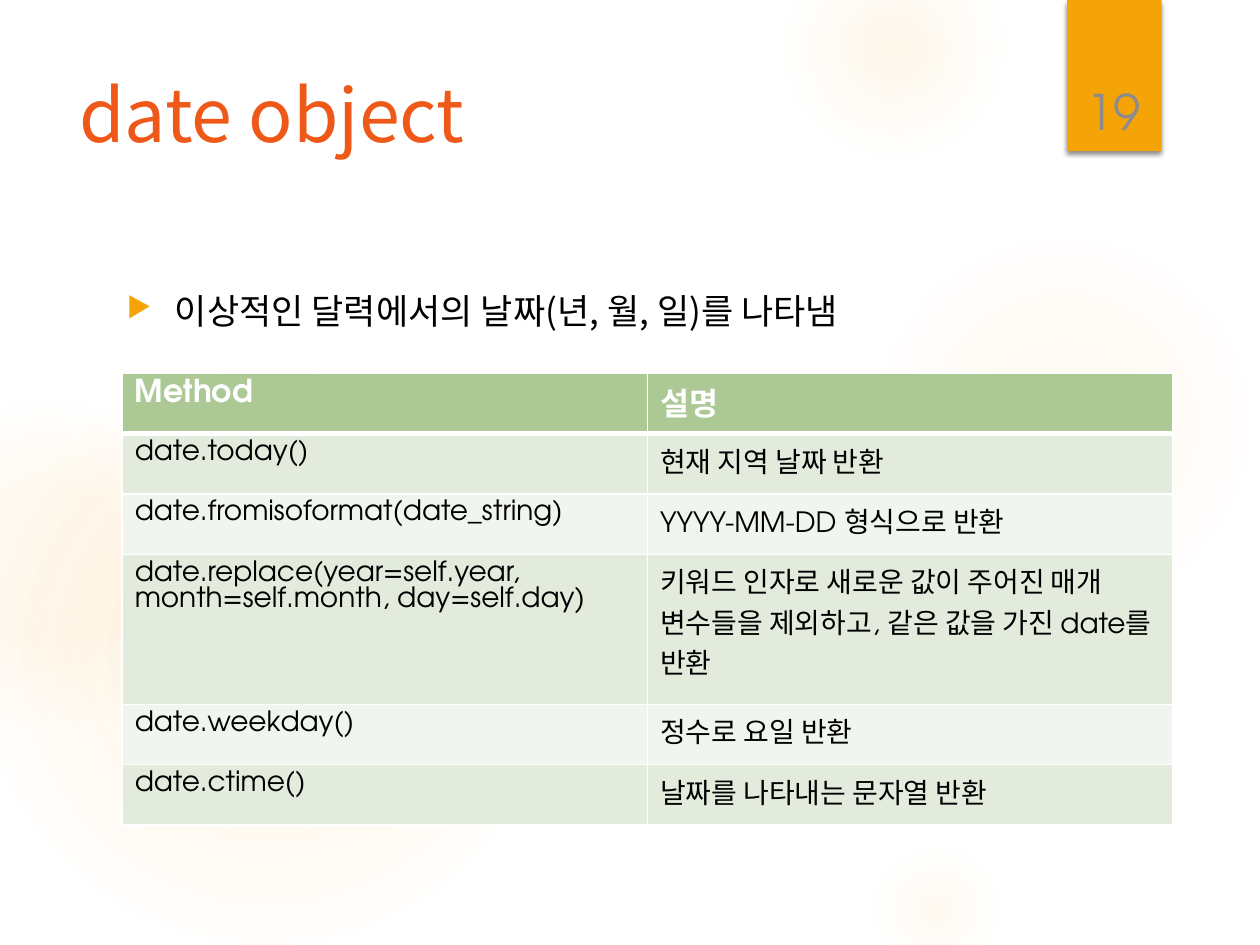
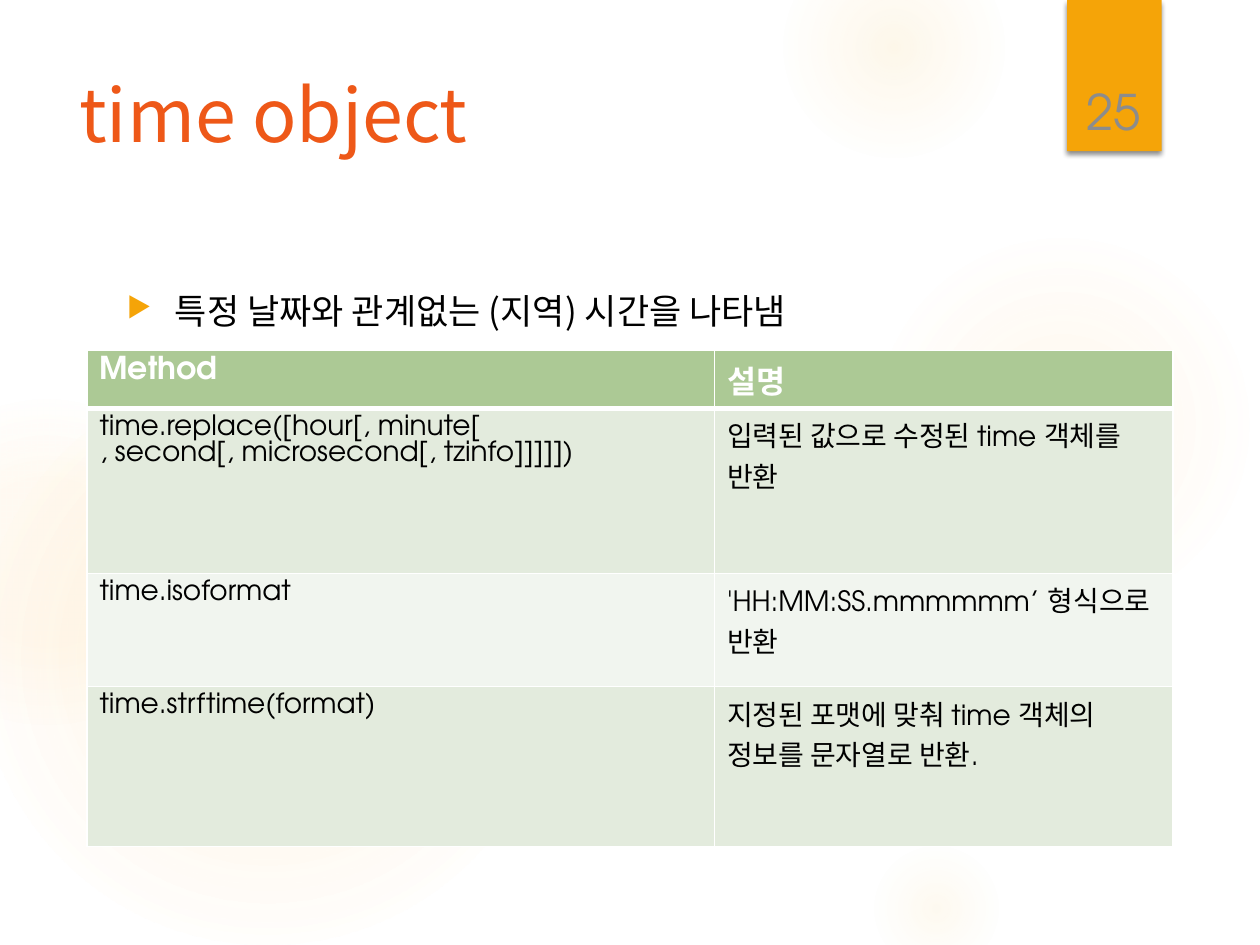
from pptx import Presentation
from pptx.dml.color import RGBColor
from pptx.enum.shapes import MSO_SHAPE
from pptx.enum.text import MSO_ANCHOR, PP_ALIGN
from pptx.oxml import parse_xml
from pptx.oxml.ns import nsdecls
from pptx.util import Inches, Pt

OVAL, RECT = MSO_SHAPE.OVAL, MSO_SHAPE.RECTANGLE
TOP, BOTTOM = MSO_ANCHOR.TOP, MSO_ANCHOR.BOTTOM
LEFT, CENTER = PP_ALIGN.LEFT, PP_ALIGN.CENTER
SANS, GEO = "Noto Sans CJK KR", "TeX Gyre Adventor"
GLOW = RGBColor(0xFA, 0xC9, 0x6A)
GOLD = RGBColor(0xF5, 0xA4, 0x08)
RUST = RGBColor(0xEE, 0x58, 0x18)
GRAY = RGBColor(0x8C, 0x8C, 0x8C)
BLACK = RGBColor(0x00, 0x00, 0x00)
WHITE = RGBColor(0xFF, 0xFF, 0xFF)
HEAD = RGBColor(0xAC, 0xC9, 0x95)
BANDS = [RGBColor(0xF1, 0xF5, 0xEF), RGBColor(0xE3, 0xEB, 0xDD)]
NS = nsdecls("a")

GLOWS = [
    (6.89, 1.83, 3.08, [(0, 7), (36, 6), (69, 0)]),
    (6.22, -0.5, 1.75, [(0, 14), (36, 7), (73, 0)]),
    (6.89, 6.67, 1.08, [(0, 10), (31, 5), (66, 0)]),
    (-0.17, 2.92, 4.58, [(0, 11), (36, 10), (75, 0)]),
    (-0.92, 3.17, 2.58, [(0, 8), (36, 8), (72, 0)]),
]

PAGES = [
    ("date object", "19", "이상적인 달력에서의 날짜(년, 월, 일)를 나타냄",
     (0.97, 2.96), [4.17, 4.17], [0.48, 0.48, 0.48, 1.19, 0.48, 0.48],
     [("Method", "설명"),
      ("date.today()", "현재 지역 날짜 반환"),
      ("date.fromisoformat(date_string)", "YYYY-MM-DD 형식으로 반환"),
      ("date.replace(year=self.year, month=self.month, day=self.day)",
       "키워드 인자로 새로운 값이 주어진 매개 변수들을 제외하고, 같은 값을 가진 date를 반환"),
      ("date.weekday()", "정수로 요일 반환"),
      ("date.ctime()", "날짜를 나타내는 문자열 반환")]),
    ("time object", "25", "특정 날짜와 관계없는 (지역) 시간을 나타냄",
     (0.69, 2.78), [4.98, 3.64], [0.46, 1.31, 0.9, 1.27],
     [("Method", "설명"),
      ("time.replace([hour[, minute[\n, second[, microsecond[, tzinfo]]]]])",
       "입력된 값으로 수정된 time 객체를 반환"),
      ("time.isoformat", "'HH:MM:SS.mmmmmm’ 형식으로 반환"),
      ("time.strftime(format)",
       "지정된 포맷에 맞춰 time 객체의 정보를 문자열로 반환.")]),
]


def style(frame, size, face, color, bold=False):
    for para in frame.paragraphs:
        for run in para.runs:
            font = run.font
            font.size, font.name, font.bold = Pt(size), face, bold
            font.color.rgb = color
            run._r.get_or_add_rPr().append(
                parse_xml(f'<a:ea {NS} typeface="{SANS}"/>'))


def label(slide, box, text, size, face, color, anchor=TOP, align=LEFT):
    frame = slide.shapes.add_textbox(*map(Inches, box)).text_frame
    frame.word_wrap = True
    frame.vertical_anchor = anchor
    frame.text = text
    frame.paragraphs[0].alignment = align
    style(frame, size, face, color)
    return frame.paragraphs[0]


deck = Presentation()
deck.slide_width, deck.slide_height = Inches(10), Inches(7.5)

for title, number, lead, spot, widths, heights, rows in PAGES:
    slide = deck.slides.add_slide(deck.slide_layouts[6])

    for x, y, size, stops in GLOWS:
        glow = slide.shapes.add_shape(
            OVAL, Inches(x), Inches(y), Inches(size), Inches(size))
        glow.shadow.inherit = False
        glow.line.fill.background()
        marks = "".join(
            f'<a:gs pos="{pos * 1000}"><a:srgbClr val="{GLOW}">'
            f'<a:alpha val="{alpha * 1000}"/></a:srgbClr></a:gs>'
            for pos, alpha in stops)
        glow._element.spPr.insert(2, parse_xml(
            f'<a:gradFill {NS}><a:gsLst>{marks}</a:gsLst><a:path path="circle">'
            '<a:fillToRect l="50000" t="50000" r="50000" b="50000"/>'
            '</a:path></a:gradFill>'))

    tab = slide.shapes.add_shape(
        RECT, Inches(8.47), Inches(0), Inches(0.75), Inches(1.2))
    tab.fill.solid()
    tab.fill.fore_color.rgb = GOLD
    tab.line.fill.background()
    tab.shadow.inherit = False
    tab._element.spPr[-1].append(parse_xml(
        f'<a:outerShdw {NS} blurRad="{Pt(3)}" dist="{Pt(2)}" dir="5400000" '
        f'rotWithShape="0"><a:srgbClr val="{BLACK}"><a:alpha val="45000"/>'
        '</a:srgbClr></a:outerShdw>'))

    label(slide, (0.53, 0.5, 7.72, 1.53), title, 42, SANS, RUST)
    para = label(slide, (0.91, 2.25, 7.34, 4.59), lead, 20, SANS, BLACK)
    props = para._p.get_or_add_pPr()
    props.set("marL", str(Inches(0.38)))
    props.set("indent", str(-Inches(0.38)))
    for tag in (f'<a:buClr {NS}><a:srgbClr val="{GOLD}"/></a:buClr>',
                f'<a:buSzPct {NS} val="80000"/>',
                f'<a:buChar {NS} char="▶"/>'):
        props.append(parse_xml(tag))

    table = slide.shapes.add_table(
        len(rows), 2, Inches(spot[0]), Inches(spot[1]),
        Inches(sum(widths)), Inches(sum(heights))).table
    for col, width in zip(table.columns, widths):
        col.width = Inches(width)
    for i, texts in enumerate(rows):
        table.rows[i].height = Inches(heights[i])
        for j, text in enumerate(texts):
            cell = table.cell(i, j)
            cell.text = text
            cell.fill.solid()
            cell.fill.fore_color.rgb = BANDS[i % 2] if i else HEAD
            if i:
                style(cell.text_frame, 16, GEO, BLACK)
            else:
                style(cell.text_frame, 18, GEO, WHITE, True)
            edges = {"L": 1, "R": 1, "T": 3 if i == 1 else 1, "B": 1 if i else 3}
            for k, (side, weight) in enumerate(edges.items()):
                cell._tc.get_or_add_tcPr().insert(k, parse_xml(
                    f'<a:ln{side} {NS} w="{Pt(weight)}"><a:solidFill>'
                    f'<a:srgbClr val="{WHITE}"/></a:solidFill></a:ln{side}>'))

    label(slide, (8.49, 0.32, 0.69, 0.84), number, 28, GEO, GRAY, BOTTOM, CENTER)

deck.save("out.pptx")
